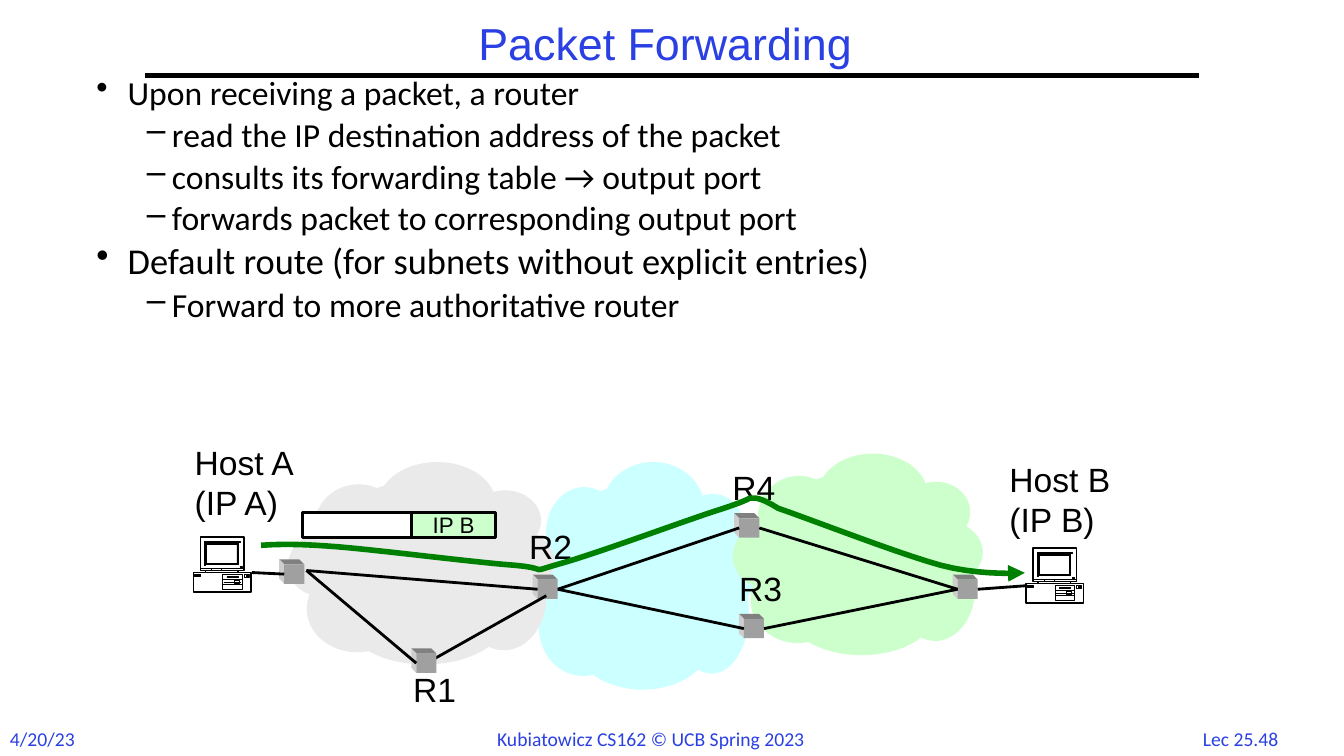
from dataclasses import dataclass

from lxml import etree
from pptx import Presentation
from pptx.dml.color import RGBColor
from pptx.enum.shapes import MSO_CONNECTOR, MSO_SHAPE
from pptx.enum.text import MSO_ANCHOR, PP_ALIGN
from pptx.oxml.ns import qn
from pptx.util import Inches, Pt

STRAIGHT = MSO_CONNECTOR.STRAIGHT
RECTANGLE, OVAL = MSO_SHAPE.RECTANGLE, MSO_SHAPE.OVAL
MIDDLE = MSO_ANCHOR.MIDDLE
LEFT, CENTER = PP_ALIGN.LEFT, PP_ALIGN.CENTER
LEFT_SIDE, RIGHT_SIDE = 1, 3
COLUMNS, ROWS = 160, 90
UNIT = Inches(7.5) / ROWS
PIXEL = 0.12


@dataclass(frozen=True)
class Theme:
    heading: str = "Arial"
    body: str = "Calibri"
    blue: str = "2A40E2"
    black: str = "000000"
    white: str = "FFFFFF"
    gray_cloud: str = "EAEAEA"
    cyan_cloud: str = "CCFFFF"
    green_cloud: str = "CCFFCC"
    route: str = "008000"
    router_front: str = "A0A0A0"
    router_top: str = "808080"
    router_side: str = "CECECE"
    title_size: int = 32
    text_size: int = 24
    emphasis_size: int = 26
    packet_size: int = 16
    footer_size: int = 14


THEME = Theme()

PUFFS = [
    (0.34, 0, 0.44, 0.41), (0.1, 0.11, 0.33, 0.41), (0, 0.36, 0.23, 0.3),
    (0.07, 0.51, 0.38, 0.43), (0.22, 0.57, 0.59, 0.43), (0.68, 0.14, 0.27, 0.3),
    (0.68, 0.33, 0.32, 0.32), (0.65, 0.4, 0.32, 0.53), (0.07, 0.09, 0.89, 0.89),
]
CASE = [(12, 35), (0, 35), (0, 54), (57, 54), (57, 35), (44, 35),
        (44, 33), (50, 33), (50, 0), (7, 0), (7, 33), (12, 33)]
SCREEN_FRAME = [(12, 27), (44, 27), (44, 5), (46, 5), (46, 4), (11, 4), (11, 28), (12, 28)]
DRIVE_PANELS = [(29, 37, 48, 52), (50, 37, 52, 40)]
DARK_PARTS = [(46, 29, 48, 30), (13, 7, 43, 26), (1, 37, 7, 39),
              (33, 39, 44, 40), (53, 37, 55, 38), (53, 39, 55, 40)]
CASE_SEAMS = [(12, 35, 44, 35), (12, 33, 44, 33)]
FINE_SEAMS = [(29, 42, 48, 42), (29, 47, 48, 47), (30, 45, 47, 45),
              (7, 31, 50, 31), (18, 33, 18, 31), (28, 33, 28, 31)]
ROUTE_START = (31.08, 64.92)
ROUTE_CURVES = [
    ((33.1, 64.8), (35.2, 64.7), (40.2, 65.1)),
    ((45.2, 65.5), (56.9, 67), (61.3, 67.3)),
    ((65.8, 67.7), (62.5, 68.3), (66.7, 67.1)),
    ((70.8, 66), (82.3, 61.7), (86.2, 60.5)),
    ((90.1, 59.2), (88.7, 59.3), (89.8, 59.3)),
    ((90.8, 59.3), (92.6, 60.5), (92.6, 60.5)),
    ((96.4, 61.8), (107.2, 66), (112, 67.3)),
    ((116.9, 68.6), (122, 68.2), (122, 68.2)),
]


def grid(*cells):
    return [round(cell * UNIT) for cell in cells]


def rgb(color):
    return RGBColor.from_string(color)


def paint(shape, fill=None, line=None, width=0):
    shape.shadow.inherit = False
    if fill:
        shape.fill.solid()
        shape.fill.fore_color.rgb = rgb(fill)
    else:
        shape.fill.background()
    if line:
        shape.line.color.rgb = rgb(line)
        shape.line.width = Pt(width)
    else:
        shape.line.fill.background()


def block(shapes, kind, box, fill=None, line=None, width=0):
    shape = shapes.add_shape(kind, *grid(*box))
    paint(shape, fill, line, width)
    return shape


def outline(shapes, contours, fill=None, line=None, width=0, close=True):
    builder = None
    for contour in contours:
        points = [grid(*point) for point in contour]
        if builder is None:
            builder = shapes.build_freeform(*points[0])
        else:
            builder.move_to(*points[0])
        builder.add_line_segments(points[1:], close=close)
    shape = builder.convert_to_shape()
    paint(shape, fill, line, width)
    return shape


def stroke(shapes, start, end, width):
    connector = shapes.add_connector(STRAIGHT, *grid(*start, *end))
    connector.line.color.rgb = rgb(THEME.black)
    connector.line.width = Pt(width)
    etree.SubElement(connector._element.spPr, qn("a:effectLst"))
    return connector


def link(shapes, start, end):
    start_router, start_spot = start
    end_router, end_spot = end
    connector = stroke(shapes, start_spot if start_router is None else (0, 0),
                       end_spot if end_router is None else (0, 0), 2)
    if start_router is not None:
        connector.begin_connect(start_router, start_spot)
    if end_router is not None:
        connector.end_connect(end_router, end_spot)


def style(paragraph, family, size, color, align=LEFT):
    paragraph.alignment = align
    paragraph.font.name = family
    paragraph.font.size = Pt(size)
    paragraph.font.color.rgb = rgb(color)


def label(shapes, box, lines, family, size, color, align=LEFT):
    frame = shapes.add_textbox(*grid(*box)).text_frame
    frame.word_wrap = False
    frame.text = "\n".join(lines)
    for paragraph in frame.paragraphs:
        style(paragraph, family, size, color, align)


def bullet_list(shapes, box, items):
    frame = shapes.add_textbox(*grid(*box)).text_frame
    frame.word_wrap = True
    for index, (level, text, size) in enumerate(items):
        paragraph = frame.paragraphs[0] if index == 0 else frame.add_paragraph()
        paragraph.text = text
        paragraph.level = level
        paragraph.line_spacing = 0.8
        if index:
            paragraph.space_before = Pt(6.8)
        margin, indent, mark = [(0.31, -0.31, "•"), (0.75, -0.25, "–")][level]
        properties = paragraph._p.get_or_add_pPr()
        properties.set("marL", str(Inches(margin)))
        properties.set("indent", str(Inches(indent)))
        etree.SubElement(properties, qn("a:buChar")).set("char", mark)
        style(paragraph, THEME.body, size, THEME.black)


def cloud(shapes, left, top, width, height, color):
    puffs = shapes.add_group_shape().shapes
    for x, y, w, h in PUFFS:
        block(puffs, OVAL, (left + x * width, top + y * height, w * width, h * height), color)


def router(shapes, left, top):
    width, height, depth = 2.4, 2.3, 0.6
    right, bottom = left + width, top + height
    outline(shapes, [[(left, top), (right, top), (right - depth, top - depth),
                      (left - depth, top - depth)]], THEME.router_top)
    outline(shapes, [[(left, top), (left, bottom), (left - depth, bottom - depth),
                      (left - depth, top - depth)]], THEME.router_side)
    return block(shapes, RECTANGLE, (left, top, width, height), THEME.router_front)


def computer(shapes, left, top):
    parts = shapes.add_group_shape().shapes

    def place(points):
        return [(left + x * PIXEL, top + y * PIXEL) for x, y in points]

    def panel(x1, y1, x2, y2):
        return place([(x1, y1), (x2, y1), (x2, y2), (x1, y2)])

    outline(parts, [place(CASE)], THEME.white, THEME.black, 1.25)
    outline(parts, [panel(*p) for p in DRIVE_PANELS], THEME.white, THEME.black, 0.38)
    outline(parts, [panel(40, 43, 45, 46)], None, THEME.black, 0.38)
    outline(parts, [place(SCREEN_FRAME)] + [panel(*p) for p in DARK_PARTS],
            THEME.black, THEME.black, 0.38)
    for seams, width in ((CASE_SEAMS, 1.25), (FINE_SEAMS, 0.38)):
        for x1, y1, x2, y2 in seams:
            stroke(parts, *place([(x1, y1), (x2, y2)]), width)


def packet_route(shapes, steps=10):
    points = [ROUTE_START]
    for first, second, end in ROUTE_CURVES:
        start = points[-1]
        for step in range(1, steps + 1):
            t = step / steps
            weights = ((1 - t) ** 3, 3 * t * (1 - t) ** 2, 3 * t * t * (1 - t), t ** 3)
            points.append(tuple(sum(w * p[axis] for w, p in zip(weights, (start, first, second, end)))
                                for axis in (0, 1)))
    path_line = outline(shapes, [points], None, THEME.route, 4, close=False)
    etree.SubElement(path_line.line._get_or_add_ln(), qn("a:tailEnd")).set("type", "triangle")


def packet(shapes):
    block(shapes, RECTANGLE, (36, 61, 13, 3), THEME.white, THEME.black, 2)
    address = block(shapes, RECTANGLE, (49, 61, 10, 3), THEME.green_cloud, THEME.black, 2)
    address.text_frame.text = "IP B"
    address.text_frame.vertical_anchor = MIDDLE
    style(address.text_frame.paragraphs[0], THEME.heading, THEME.packet_size, THEME.black, CENTER)


def network(shapes):
    cloud(shapes, 62.2, 55, 27.8, 27.1, THEME.cyan_cloud)
    cloud(shapes, 34.3, 55, 31.7, 24.1, THEME.gray_cloud)
    cloud(shapes, 87.25, 54, 29.75, 24, THEME.green_cloud)
    computer(shapes, 23.04, 63.96)
    computer(shapes, 122.16, 65.28)
    edge_a = router(shapes, 33.84, 67.2)
    edge_b = router(shapes, 114, 69)
    r2 = router(shapes, 64, 69)
    r3 = router(shapes, 88.56, 73.68)
    r4 = router(shapes, 88, 61.7)
    link(shapes, (None, (50.76, 78.96)), (None, (65.04, 70.92)))
    r1 = router(shapes, 49.56, 77.8)
    edge_a_exit = (None, (36.48, 67.92))
    for start, end in [
        ((None, (30, 68.16)), (edge_a, LEFT_SIDE)),
        (edge_a_exit, (r2, LEFT_SIDE)),
        (edge_a_exit, (r1, LEFT_SIDE)),
        ((r2, RIGHT_SIDE), (r3, LEFT_SIDE)),
        ((r2, RIGHT_SIDE), (r4, LEFT_SIDE)),
        ((r3, RIGHT_SIDE), (edge_b, LEFT_SIDE)),
        ((r4, RIGHT_SIDE), (edge_b, LEFT_SIDE)),
        ((edge_b, RIGHT_SIDE), (None, (122.28, 69.72))),
    ]:
        link(shapes, start, end)
    for box, lines in [
        ((22, 52, 14.4, 10.9), ["Host A", "(IP A)"]),
        ((119, 54, 15.6, 10.9), ["Host B", "(IP B)"]),
        ((48, 79, 7.6, 6.1), ["R1"]),
        ((61.8, 62, 7.6, 6.1), ["R2"]),
        ((86.8, 67, 7.6, 6.1), ["R3"]),
        ((86, 55, 7.6, 6.1), ["R4"]),
    ]:
        label(shapes, box, lines, THEME.heading, THEME.text_size, THEME.black)
    packet_route(shapes)
    packet(shapes)


def heading(shapes, text):
    title = shapes.title
    title.left, title.top, title.width, title.height = grid(17.3, 2, 125.3, 7)
    title.text_frame.text = text
    title.text_frame.vertical_anchor = MIDDLE
    paragraph = title.text_frame.paragraphs[0]
    paragraph.line_spacing = 0.9
    style(paragraph, THEME.heading, THEME.title_size, THEME.blue, CENTER)
    stroke(shapes, (17.3, 9), (142.7, 9), 3)


def main():
    deck = Presentation()
    deck.slide_width, deck.slide_height = grid(COLUMNS, ROWS)
    shapes = deck.slides.add_slide(deck.slide_layouts[5]).shapes
    heading(shapes, "Packet Forwarding ")
    bullet_list(shapes, (10.3, 8.9, 124.3, 34.2), [
        (0, "Upon receiving a packet, a router", THEME.text_size),
        (1, "read the IP destination address of the packet", THEME.text_size),
        (1, "consults its forwarding table → output port", THEME.text_size),
        (1, "forwards packet to corresponding output port", THEME.text_size),
        (0, "Default route (for subnets without explicit entries)", THEME.emphasis_size),
        (1, "Forward to more authoritative router", THEME.text_size),
    ])
    network(shapes)
    for left, width, text, align in [
        (0, 10.2, "4/20/23", LEFT),
        (58, 44.2, "Kubiatowicz CS162 © UCB Spring 2023", LEFT),
        (141.2, 13, "Lec 25.48", CENTER),
    ]:
        label(shapes, (left, 85.9, width, 4), [text], THEME.body, THEME.footer_size, THEME.blue, align)
    deck.save("out.pptx")


if __name__ == "__main__":
    main()
